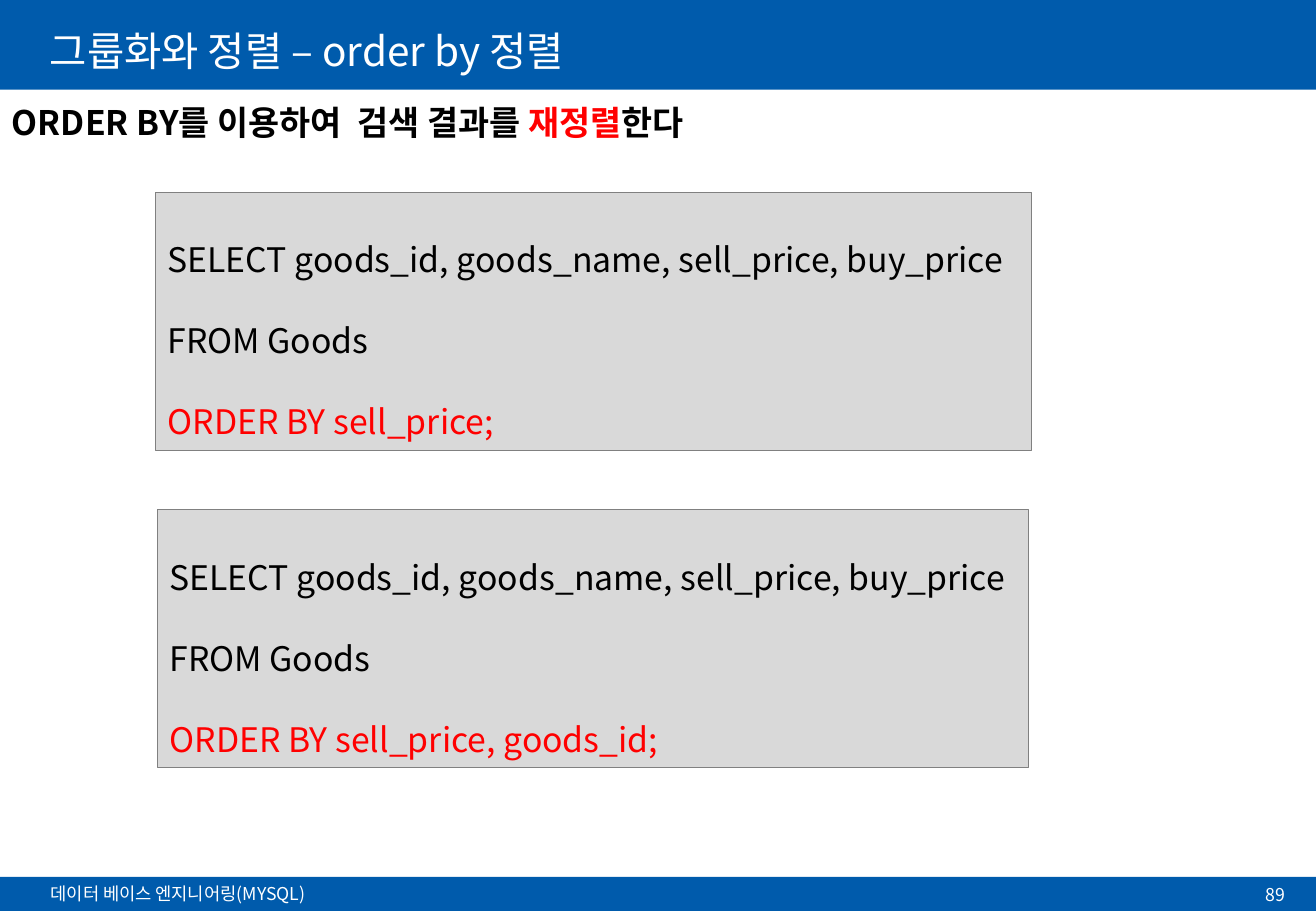
from pptx import Presentation
from pptx import util as u
from pptx.dml.color import RGBColor
from pptx.enum import shapes, text
from pptx.oxml.ns import qn
from lxml import etree

COLORS = {"blue": "005BAC", "white": "FFFFFF", "black": "000000",
          "red": "FF0000", "panel": "D9D9D9", "edge": "808080"}
FONT = "Noto Sans CJK KR"
WIDTH, HEIGHT = 780, 540
SELECT_LINES = ["SELECT goods_id, goods_name, sell_price, buy_price", "FROM Goods"]


def color(name):
    return RGBColor.from_string(COLORS[name])


def set_all(target, values):
    for name, value in values.items():
        setattr(target, name, value)


def add_span(para, words, size, tint, bold=False):
    span = para.add_run()
    span.text = words
    set_all(span.font, {"name": FONT, "size": u.Pt(size), "bold": bold})
    span.font.color.rgb = color(tint)
    east_asian = etree.SubElement(span.font._element, qn("a:ea"))
    east_asian.set("typeface", FONT)


def fill_text(box, lines, size, anchor=text.MSO_ANCHOR.TOP, **para_format):
    """Write lines, each a list of (words, colour) spans, into a box."""
    bold = para_format.pop("bold", False)
    frame = box.text_frame
    set_all(frame, {"word_wrap": True, "vertical_anchor": anchor})
    for index, spans in enumerate(lines):
        para = frame.add_paragraph() if index else frame.paragraphs[0]
        set_all(para, {"alignment": text.PP_ALIGN.LEFT, **para_format})
        for words, tint in spans:
            add_span(para, words, size, tint, bold)


def add_text(page, place, spans, size, **options):
    box = page.shapes.add_textbox(*map(u.Pt, place))
    fill_text(box, [spans], size, **options)


def add_rectangle(page, place, fill, edge=None):
    box = page.shapes.add_shape(shapes.MSO_SHAPE.RECTANGLE, *map(u.Pt, place))
    box.shadow.inherit = False
    box.fill.solid()
    box.fill.fore_color.rgb = color(fill)
    if edge:
        box.line.color.rgb = color(edge)
        box.line.width = u.Pt(0.75)
    else:
        box.line.fill.background()
    return box


def add_query(page, place, order_line):
    box = add_rectangle(page, place, "panel", "edge")
    lines = [[(line, "black")] for line in SELECT_LINES] + [[(order_line, "red")]]
    fill_text(box, lines, 20, line_spacing=2.0)


def main():
    deck = Presentation()
    set_all(deck, {"slide_width": u.Pt(WIDTH), "slide_height": u.Pt(HEIGHT)})
    page = deck.slides.add_slide(deck.slide_layouts[6])
    middle = text.MSO_ANCHOR.MIDDLE

    add_rectangle(page, (0, 0, WIDTH, 53.2), "blue")
    add_rectangle(page, (0, 519.8, WIDTH, 20.2), "blue")
    add_text(page, (23, 519.8, 288, 20.2),
             [("데이터 베이스 엔지니어링(MYSQL)", "white")], 10.5)
    add_text(page, (22.5, 18, 736.5, 27.4),
             [("그룹화와 정렬 – order by 정렬", "white")], 24,
             anchor=middle, line_spacing=0.9)
    add_text(page, (660.2, 521.3, 108.7, 18), [("89", "white")], 10.5,
             anchor=middle, alignment=text.PP_ALIGN.RIGHT)
    add_text(page, (0, 56.9, WIDTH, 464.4),
             [("ORDER BY를 이용하여  검색 결과를 ", "black"),
              ("재정렬", "red"), ("한다", "black")], 20, bold=True)

    add_query(page, (92.2, 114.2, 519, 152.8), "ORDER BY sell_price;")
    add_query(page, (93.4, 302.2, 516.4, 152.8), "ORDER BY sell_price, goods_id;")
    deck.save("out.pptx")


if __name__ == "__main__":
    main()
